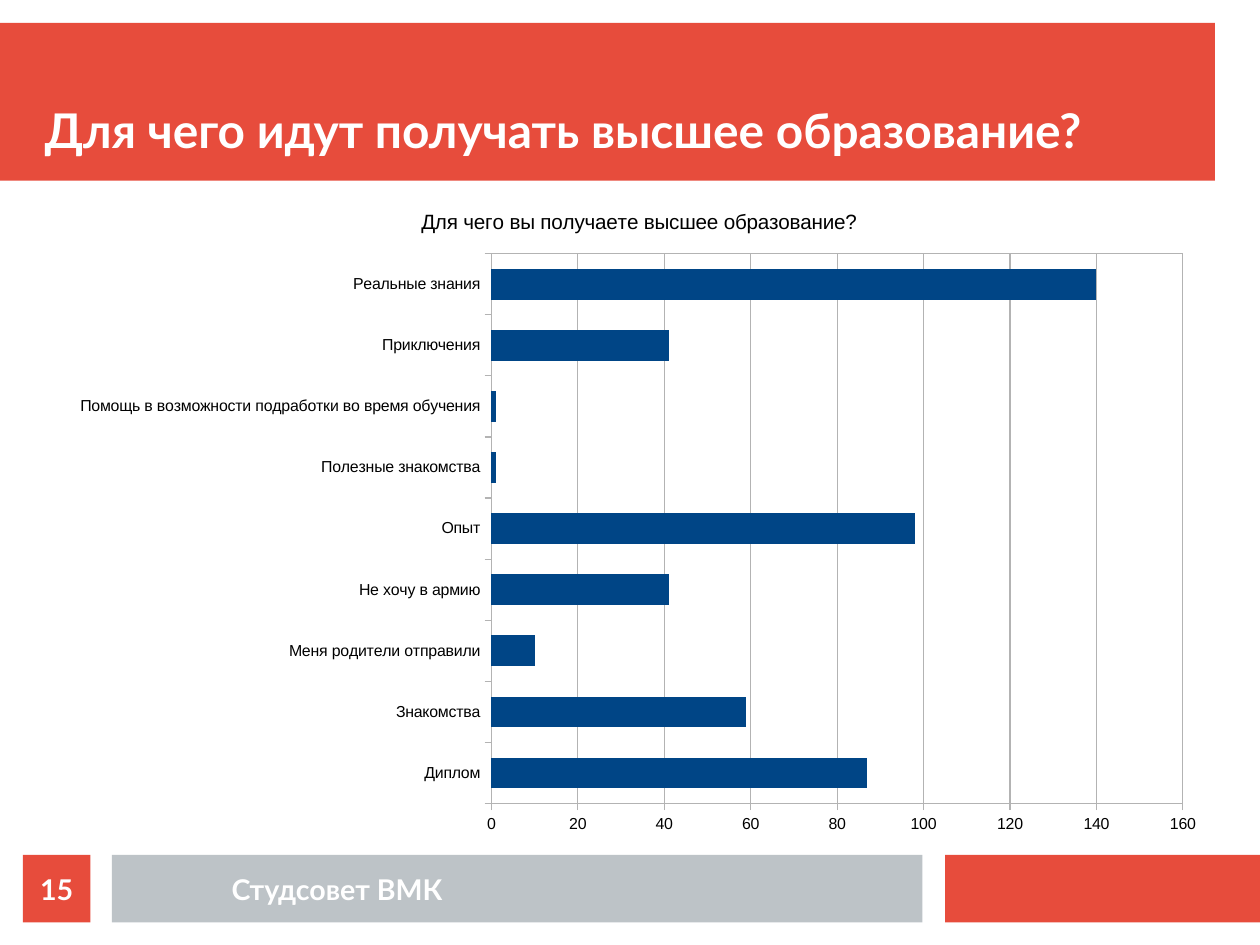
from typing import NamedTuple

from lxml import etree
from pptx import Presentation
from pptx.chart.data import CategoryChartData
from pptx.dml.color import RGBColor
from pptx.enum.chart import XL_CHART_TYPE, XL_TICK_MARK
from pptx.enum.shapes import MSO_SHAPE
from pptx.enum.text import MSO_ANCHOR, MSO_AUTO_SIZE, PP_ALIGN
from pptx.oxml import parse_xml
from pptx.oxml.ns import nsdecls, qn
from pptx.util import Inches, Pt

RECT = MSO_SHAPE.RECTANGLE
BAR = XL_CHART_TYPE.BAR_CLUSTERED
TICK_OUT = XL_TICK_MARK.OUTSIDE
MIDDLE, BOTTOM = MSO_ANCHOR.MIDDLE, MSO_ANCHOR.BOTTOM
LEFT, CENTER = PP_ALIGN.LEFT, PP_ALIGN.CENTER
NO_FIT = MSO_AUTO_SIZE.NONE

RED = RGBColor(0xE7, 0x4C, 0x3C)
SILVER = RGBColor(0xBD, 0xC3, 0xC7)
WHITE = RGBColor(0xFF, 0xFF, 0xFF)
BLACK = RGBColor(0, 0, 0)
BAR_BLUE = RGBColor(0x00, 0x45, 0x86)
GRID_GRAY = RGBColor(0xB3, 0xB3, 0xB3)

# Slide size of 28 by 21 cm on a grid of 576 units to the inch
UNITS_PER_INCH = 576
SLIDE_WIDTH = Inches(6350 / UNITS_PER_INCH)
SLIDE_HEIGHT = Inches(4762 / UNITS_PER_INCH)


class Box(NamedTuple):
    left: float
    top: float
    width: float
    height: float

    def lengths(self) -> list:
        return [Inches(v) for v in self]


class Band(NamedTuple):
    box: Box
    color: RGBColor
    text: str = ""


FOOTER_TOP, FOOTER_HEIGHT = 7.48, 0.59
BANDS = [
    Band(Box(0, 0.2, 10.63, 1.38), RED),
    Band(Box(8.27, FOOTER_TOP, 2.76, FOOTER_HEIGHT), RED),
    Band(Box(0.98, FOOTER_TOP, 7.09, FOOTER_HEIGHT), SILVER),
    Band(Box(0.2, FOOTER_TOP, 0.59, FOOTER_HEIGHT), RED, "15"),
]
TITLE_BOX = Box(0.39, 0.24, 10.24, 1.14)
FOOTER_BOX = Box(1.18, FOOTER_TOP, 3.54, FOOTER_HEIGHT)
CHART_BOX = Box(0.5, 1.63, 10.18, 5.77)
PLOT_BOX = Box(4.3, 2.22, 6.05, 4.81)

ANSWERS = {
    "Диплом": 87,
    "Знакомства": 59,
    "Меня родители отправили": 10,
    "Не хочу в армию": 41,
    "Опыт": 98,
    "Полезные знакомства": 1,
    "Помощь в возможности подработки во время обучения": 1,
    "Приключения": 41,
    "Реальные знания": 140,
}


def set_font(font, size: float, color: RGBColor, name: str, bold: bool) -> None:
    font.size, font.name, font.bold = Pt(size), name, bold
    font.color.rgb = color


def write(tf, text: str, *, size: float = 18, color: RGBColor = WHITE,
          name: str = "Lato", bold: bool = True, align=CENTER, anchor=MIDDLE) -> None:
    tf.word_wrap = True
    tf.auto_size = NO_FIT
    tf.vertical_anchor = anchor
    tf.margin_left = tf.margin_right = tf.margin_top = tf.margin_bottom = 0
    p = tf.paragraphs[0]
    p.alignment = align
    r = p.add_run()
    r.text = text
    set_font(r.font, size, color, name, bold)


def add_band(slide, band: Band) -> None:
    sp = slide.shapes.add_shape(RECT, *band.box.lengths())
    sp.shadow.inherit = False
    sp.fill.solid()
    sp.fill.fore_color.rgb = band.color
    sp.line.fill.background()
    if band.text:
        write(sp.text_frame, band.text)


def format_line(line) -> None:
    line.color.rgb = GRID_GRAY
    line.width = Pt(0)


def place_plot(chart) -> None:
    """Fix the inner plot area and give it a thin border."""
    plot_area = chart.element.find(".//" + qn("c:plotArea"))
    for old in plot_area.findall(qn("c:layout")):
        plot_area.remove(old)
    layout = parse_xml(f"<c:layout {nsdecls('c')}><c:manualLayout/></c:layout>")
    fractions = {
        "x": (PLOT_BOX.left - CHART_BOX.left) / CHART_BOX.width,
        "y": (PLOT_BOX.top - CHART_BOX.top) / CHART_BOX.height,
        "w": PLOT_BOX.width / CHART_BOX.width,
        "h": PLOT_BOX.height / CHART_BOX.height,
    }
    settings = {"layoutTarget": "inner", "xMode": "edge", "yMode": "edge", **fractions}
    for tag, value in settings.items():
        etree.SubElement(layout[0], qn(f"c:{tag}")).set("val", str(value))
    plot_area.insert(0, layout)
    plot_area.append(parse_xml(
        f"<c:spPr {nsdecls('c', 'a')}><a:noFill/><a:ln w='0'><a:solidFill>"
        f"<a:srgbClr val='{GRID_GRAY}'/></a:solidFill></a:ln></c:spPr>"))


def add_answers_chart(slide) -> None:
    data = CategoryChartData()
    data.categories = list(ANSWERS)
    data.add_series("Series 1", list(ANSWERS.values()))
    chart = slide.shapes.add_chart(BAR, *CHART_BOX.lengths(), data).chart
    set_font(chart.font, 10, BLACK, "Arial", False)
    chart.has_legend = False

    # Chart title
    chart.has_title = True
    chart.chart_title.include_in_layout = False
    r = chart.chart_title.text_frame.paragraphs[0].add_run()
    r.text = "Для чего вы получаете высшее образование?"
    set_font(r.font, 13, BLACK, "Arial", False)

    # Bars
    plot = chart.plots[0]
    plot.gap_width = 100
    plot.vary_by_categories = False
    fill = plot.series[0].format.fill
    fill.solid()
    fill.fore_color.rgb = BAR_BLUE

    # Axes and grid
    for axis in (chart.category_axis, chart.value_axis):
        axis.major_tick_mark = TICK_OUT
        format_line(axis.format.line)
        set_font(axis.tick_labels.font, 10, BLACK, "Arial", False)
    values = chart.value_axis
    values.minimum_scale, values.maximum_scale, values.major_unit = 0, 160, 20
    values.has_major_gridlines = True
    format_line(values.major_gridlines.format.line)
    place_plot(chart)


def main() -> None:
    prs = Presentation()
    prs.slide_width, prs.slide_height = SLIDE_WIDTH, SLIDE_HEIGHT
    slide = prs.slides.add_slide(prs.slide_layouts[5])

    # Coloured bands and page number
    for band in BANDS:
        add_band(slide, band)

    # Title, brought in front of its band
    title = slide.shapes.title
    title.left, title.top, title.width, title.height = TITLE_BOX.lengths()
    title.element.getparent().append(title.element)
    write(title.text_frame, "Для чего идут получать высшее образование?",
          size=30.1, align=LEFT, anchor=BOTTOM)

    # Chart and footer
    add_answers_chart(slide)
    footer = slide.shapes.add_textbox(*FOOTER_BOX.lengths())
    write(footer.text_frame, "Студсовет ВМК")

    prs.save("out.pptx")


if __name__ == "__main__":
    main()
